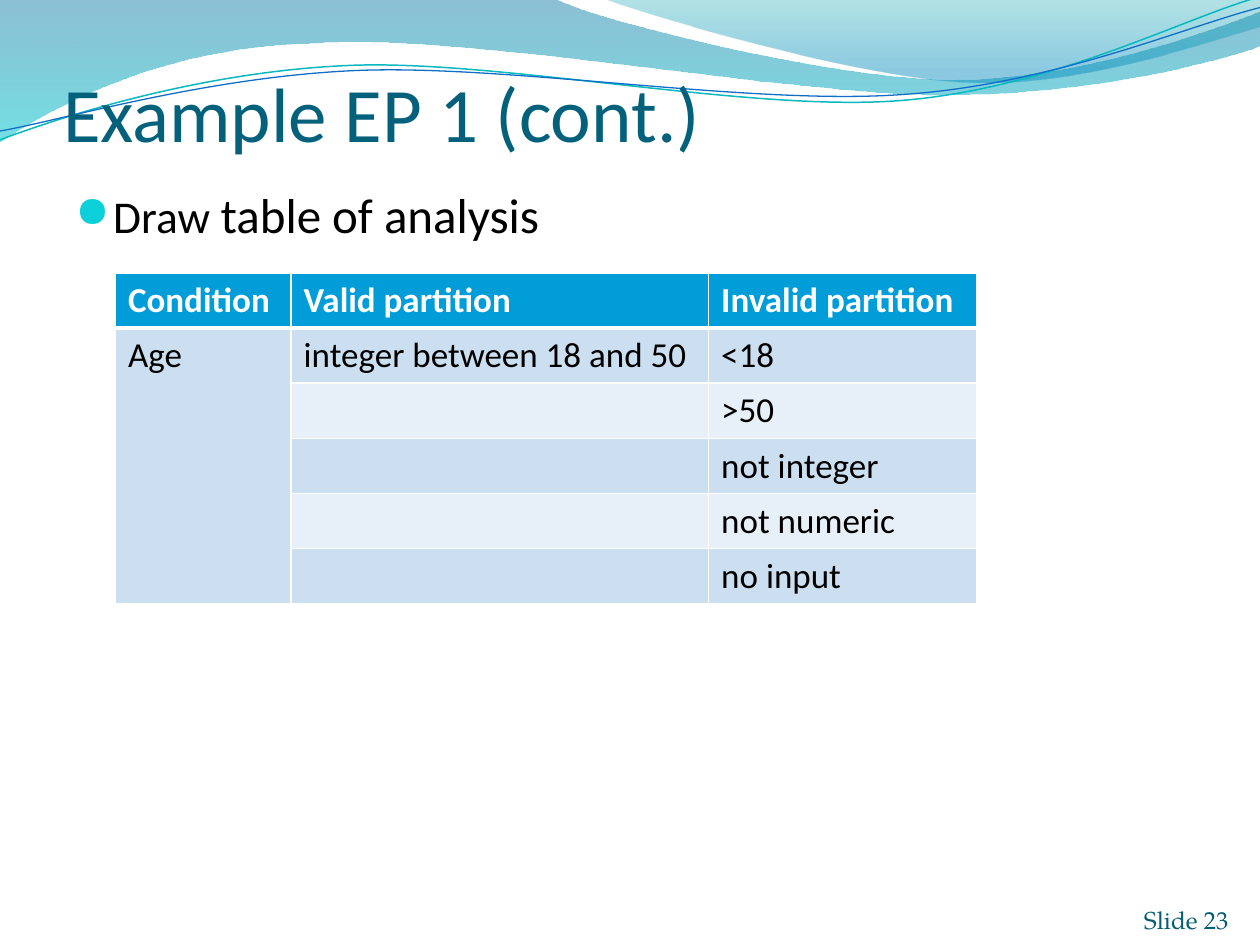
from lxml import etree
from pptx import Presentation
from pptx.dml.color import RGBColor
from pptx.enum.text import MSO_ANCHOR, PP_ALIGN
from pptx.oxml.ns import qn
from pptx.util import Inches, Pt

BOTTOM, TOP = MSO_ANCHOR.BOTTOM, MSO_ANCHOR.TOP
LEFT, RIGHT = PP_ALIGN.LEFT, PP_ALIGN.RIGHT
UNIT = Inches(1) / 12  # the page is a grid of 120 columns by 90 rows
COLUMNS, ROWS = 120, 90
BODY_FONT, NUMBER_FONT, BULLET_FONT = "Calibri", "TeX Gyre Pagella", "OpenSymbol"
COLORS = {
    "title": "04617B", "text": "000000", "bullet": "0BD0D9", "number": "045D75",
    "header": "009DD9", "header_text": "FFFFFF", "header_rule": "FFFFFF",
    "odd_row": "CCDFF1", "even_row": "E7EFF8",
    "wave_top": "0074A1", "wave_bottom": "00C6CF",
    "crest_top": "00A1A9", "crest_bottom": "008BBF",
    "teal_line": "0AB8BF", "blue_line": "0F6FC6",
}

# Waves: x in tenths of the band's width, y in heights of the band.
# A pair is a straight step, six numbers are a Bézier curve.
FILLED_WAVES = [
    ([(0, 0), (4.4, -0.01), (4.76, 0.17, 6.64, 0.63, 7.58, 0.63),
      (8.53, 0.63, 9.58, 0.26, 10, 0.09), (10.01, 0.36),
      (9.83, 0.44, 8.7, 0.76, 7.46, 0.75), (6.22, 0.75, 3.82, 0.28, 2.57, 0.34),
      (1.29, 0.36, 0.46, 0.83, -0.01, 1.13), (0, 0)],
     [(0, "wave_top", 45), (1, "wave_bottom", 55)]),
    ([(4.79, -0.01), (5.09, 0.11, 6.82, 0.62, 7.69, 0.65),
      (8.56, 0.69, 9.61, 0.32, 10, 0.21), (10, 0), (4.79, -0.01)],
     [(0, "crest_top", 30), (0.8, "crest_bottom", 45)]),
]
LINE_WAVES = [
    ([(0, 1.11), (0.48, 0.93, 1.58, 0.57, 2.77, 0.52), (3.95, 0.47, 5.93, 0.89, 7.13, 0.8),
      (8.33, 0.71, 9.38, 0.15, 9.98, -0.02)], "teal_line", 0.85),
    ([(0, 1.04), (0.47, 0.96, 1.64, 0.61, 2.83, 0.56), (4.03, 0.51, 5.97, 0.84, 7.17, 0.75),
      (8.36, 0.67, 9.41, 0.21, 10, 0.06)], "blue_line", 0.75),
]
TABLE_HEADER = ["Condition", "Valid partition", "Invalid partition"]
TABLE_ROWS = [
    ["Age", "integer between 18 and 50", "<18"],
    ["", "", ">50"],
    ["", "", "not integer"],
    ["", "", "not numeric"],
    ["", "", "no input"],
]
COLUMN_SHARES = [0.204, 0.485, 0.311]


def color(name):
    return RGBColor.from_string(COLORS[name])


def grid(*lengths):
    return [round(length * UNIT) for length in lengths]


def set_font(font, size, name, color_name, bold=False):
    font.size, font.name, font.bold = Pt(size), name, bold
    font.color.rgb = color(color_name)


def add_wave(page, band, steps, close):
    """Draw straight steps, then join the three points of each curve into a Bézier."""
    left, top, width, height = grid(*band)
    points = [(left + step[i] * width / 10, top + step[i + 1] * height)
              for step in steps for i in range(0, len(step), 2)]
    builder = page.shapes.build_freeform(*points[0])
    builder.add_line_segments(points[1:], close=close)
    wave = builder.convert_to_shape()
    wave.shadow.inherit = False
    segments = iter(list(wave.element.spPr.iter(qn("a:lnTo"))))
    for step in steps[1:]:
        segment = next(segments)
        if len(step) == 6:
            curve = etree.Element(qn("a:cubicBezTo"))
            segment.addprevious(curve)
            for part in (segment, next(segments), next(segments)):
                curve.append(part[0])
                part.getparent().remove(part)
    return wave


def add_wave_band(page, band):
    for steps, stops in FILLED_WAVES:
        wave = add_wave(page, band, steps, close=True)
        wave.line.fill.background()
        wave.fill.gradient()
        wave.fill.gradient_angle = 270
        for stop, (position, name, _) in zip(wave.fill.gradient_stops, stops):
            stop.position = position
            stop.color.rgb = color(name)
        for paint, (_, _, opacity) in zip(wave.element.spPr.iter(qn("a:srgbClr")), stops):
            etree.SubElement(paint, qn("a:alpha"), val=str(opacity * 1000))
    for steps, name, width in LINE_WAVES:
        wave = add_wave(page, band, steps, close=False)
        wave.fill.background()
        wave.line.color.rgb = color(name)
        wave.line.width = Pt(width)


def add_text_box(page, box, anchor, margins, align=LEFT):
    frame = page.shapes.add_textbox(*grid(*box)).text_frame
    frame.word_wrap = True
    frame.vertical_anchor = anchor
    (frame.margin_left, frame.margin_top,
     frame.margin_right, frame.margin_bottom) = map(Inches, margins)
    para = frame.paragraphs[0]
    para.alignment = align
    return para


def add_title(page, box):
    para = add_text_box(page, box, BOTTOM, (0, 0.05, 0, 0))
    para.text = "Example EP 1 (cont.)"
    set_font(para.font, 44, BODY_FONT, "title")


def add_bullet(page, box):
    para = add_text_box(page, box, TOP, (0.1, 0.05, 0.1, 0.05))
    properties = para._p.get_or_add_pPr()
    properties.set("marL", str(Inches(0.3)))
    properties.set("indent", str(-Inches(0.3)))
    bullet_color = etree.SubElement(properties, qn("a:buClr"))
    etree.SubElement(bullet_color, qn("a:srgbClr"), val=COLORS["bullet"])
    etree.SubElement(properties, qn("a:buSzPct"), val="95000")
    etree.SubElement(properties, qn("a:buFont"), typeface=BULLET_FONT)
    etree.SubElement(properties, qn("a:buChar"), char="●")
    for text, size in [("Draw ", 26), ("table of analysis", 28)]:
        span = para.add_run()
        span.text = text
        set_font(span.font, size, BODY_FONT, "text")


def add_header_rule(cell):
    rule = etree.Element(qn("a:lnB"), w=str(Pt(3)))
    paint = etree.SubElement(rule, qn("a:solidFill"))
    etree.SubElement(paint, qn("a:srgbClr"), val=COLORS["header_rule"])
    cell._tc.get_or_add_tcPr().insert(0, rule)


def add_analysis_table(page, box):
    rows = [TABLE_HEADER] + TABLE_ROWS
    left, top, width, height = grid(*box)
    table = page.shapes.add_table(len(rows), len(TABLE_HEADER), left, top, width, height).table
    for column, share in zip(table.columns, COLUMN_SHARES):
        column.width = round(width * share)
    for row_index, texts in enumerate(rows):
        is_header = row_index == 0
        fill = "header" if is_header else "odd_row" if row_index % 2 else "even_row"
        for column_index, text in enumerate(texts):
            cell = table.cell(row_index, column_index)
            cell.fill.solid()
            cell.fill.fore_color.rgb = color(fill)
            if is_header:
                add_header_rule(cell)
            para = cell.text_frame.paragraphs[0]
            para.text = text
            set_font(para.font, 20, BODY_FONT, "header_text" if is_header else "text", is_header)
    table.cell(1, 0).merge(table.cell(len(rows) - 1, 0))


def add_slide_number(page, box):
    para = add_text_box(page, box, BOTTOM, (0, 0, 0, 0), RIGHT)
    para.text = "Slide 23"
    set_font(para.font, 14, NUMBER_FONT, "number")


def main():
    deck = Presentation()
    deck.slide_width, deck.slide_height = grid(COLUMNS, ROWS)
    page = deck.slides.add_slide(deck.slide_layouts[6])
    add_wave_band(page, (0, 0, COLUMNS, 12))
    add_title(page, (6, 5, 110, 10))
    add_bullet(page, (6, 17, 110, 69))
    add_slide_number(page, (107, 84.2, 10, 4.8))
    add_analysis_table(page, (11, 26, 82, 31.5))
    deck.save("out.pptx")


if __name__ == "__main__":
    main()
